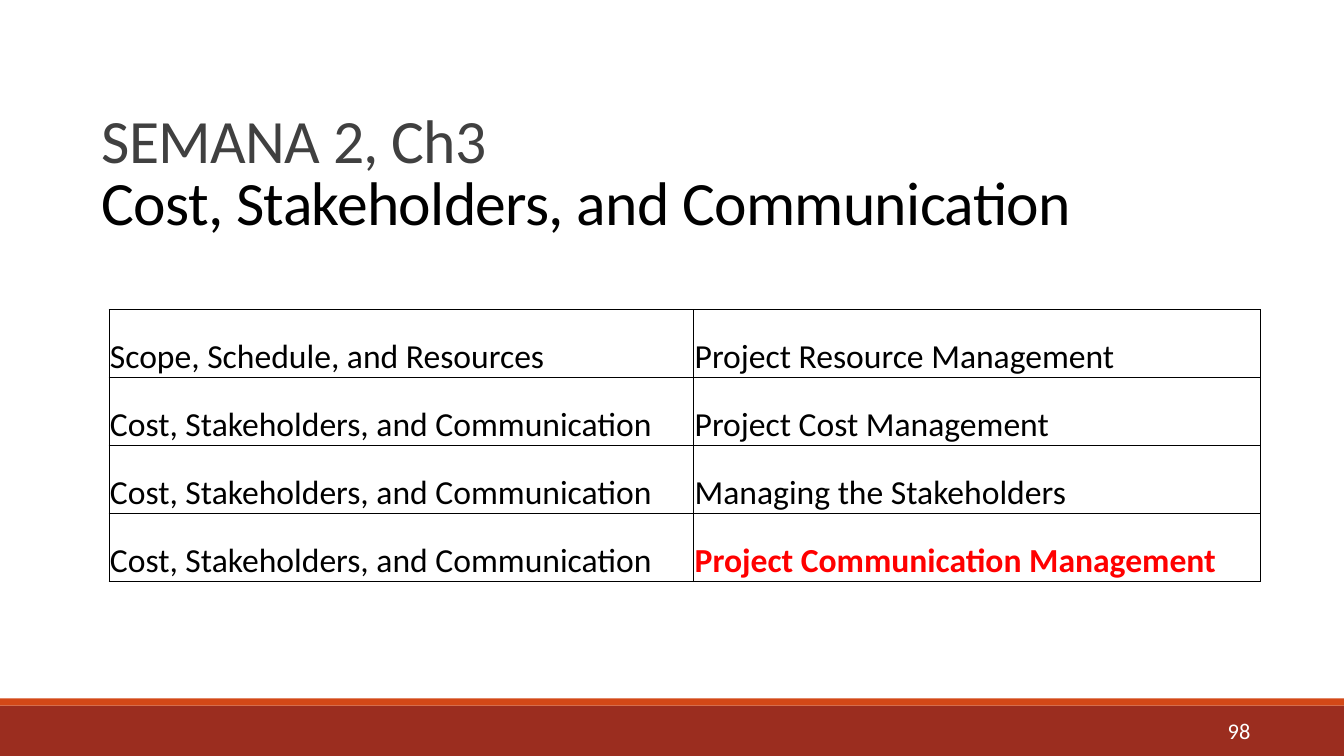
from dataclasses import dataclass

from lxml import etree
from pptx import Presentation
from pptx.dml.color import RGBColor
from pptx.enum import shapes, text
from pptx.oxml import ns
from pptx.util import Inches, Pt


@dataclass(frozen=True)
class Theme:
    font: str = "Calibri"
    black: str = "000000"
    grey: str = "404040"
    red: str = "FF0000"
    white: str = "FFFFFF"
    brick: str = "9B2D1F"
    orange: str = "D34817"
    title_size: float = 44
    table_size: float = 24
    number_size: float = 16
    border: float = 0.5


@dataclass(frozen=True)
class Bar:
    top: float
    height: float
    color: str


@dataclass(frozen=True)
class TitleLine:
    wording: str
    spacing: float
    color: str


@dataclass(frozen=True)
class Topic:
    chapter: str
    subject: str
    current: bool = False


THEME = Theme()
SLIDE_WIDTH, SLIDE_HEIGHT = 13.33, 7.5
CHAPTER = "Cost, Stakeholders, and Communication"
BARS = [Bar(7, 0.5, THEME.brick), Bar(6.93, 0.07, THEME.orange)]
TITLE_LINES = [
    TitleLine("SEMANA 2, Ch3", 1.5, THEME.grey),
    TitleLine(CHAPTER, 0.85, THEME.black),
]
TOPICS = [
    Topic("Scope, Schedule, and Resources", "Project Resource Management"),
    Topic(CHAPTER, "Project Cost Management"),
    Topic(CHAPTER, "Managing the Stakeholders"),
    Topic(CHAPTER, "Project Communication Management", current=True),
]
COLUMN_WIDTHS = [5.8, 5.62]
ROW_HEIGHT = 0.675


def style_run(run, size: float, color: str, bold: bool = False) -> None:
    run.font.name = THEME.font
    run.font.size = Pt(size)
    run.font.bold = bold
    run.font.color.rgb = RGBColor.from_string(color)


def draw_bar(slide, bar: Bar) -> None:
    band = slide.shapes.add_shape(
        shapes.MSO_SHAPE.RECTANGLE, 0, Inches(bar.top),
        Inches(SLIDE_WIDTH), Inches(bar.height))
    band.shadow.inherit = False
    band.fill.solid()
    band.fill.fore_color.rgb = RGBColor.from_string(bar.color)
    band.line.fill.background()


def draw_number(slide, number: str) -> None:
    page = slide.shapes.add_textbox(
        Inches(0.84), Inches(7.07), Inches(11.66), Inches(0.35))
    frame = page.text_frame
    frame.word_wrap = True
    frame.vertical_anchor = text.MSO_ANCHOR.MIDDLE
    frame.text = number
    frame.paragraphs[0].alignment = text.PP_ALIGN.RIGHT
    style_run(frame.paragraphs[0].runs[0], THEME.number_size, THEME.white)


def fill_title(slide, lines: list[TitleLine]) -> None:
    title = slide.shapes.title
    title.left, title.top = Inches(0.91), Inches(0.59)
    title.width, title.height = Inches(11.29), Inches(2.03)
    frame = title.text_frame
    frame.word_wrap = True
    frame.auto_size = text.MSO_AUTO_SIZE.NONE
    frame.vertical_anchor = text.MSO_ANCHOR.TOP
    frame.text = "\n".join(line.wording for line in lines)
    for paragraph, line in zip(frame.paragraphs, lines):
        paragraph.alignment = text.PP_ALIGN.LEFT
        paragraph.line_spacing = line.spacing
        run = paragraph.runs[0]
        style_run(run, THEME.title_size, line.color)
        run.font._element.set("spc", "-50")


def add_borders(cell) -> None:
    properties = cell._tc.get_or_add_tcPr()
    for position, side in enumerate(("a:lnL", "a:lnR", "a:lnT", "a:lnB")):
        edge = etree.Element(ns.qn(side), w=str(Pt(THEME.border)))
        fill = etree.SubElement(edge, ns.qn("a:solidFill"))
        etree.SubElement(fill, ns.qn("a:srgbClr"), val=THEME.black)
        properties.insert(position, edge)


def fill_cell(cell, wording: str, highlighted: bool) -> None:
    cell.fill.background()
    cell.vertical_anchor = text.MSO_ANCHOR.BOTTOM
    cell.margin_left = cell.margin_right = cell.margin_top = Inches(0.01)
    cell.margin_bottom = 0
    cell.text_frame.text = wording
    style_run(cell.text_frame.paragraphs[0].runs[0], THEME.table_size,
              THEME.red if highlighted else THEME.black, highlighted)
    add_borders(cell)


def draw_topics(slide, topics: list[Topic]) -> None:
    table = slide.shapes.add_table(
        len(topics), len(COLUMN_WIDTHS), Inches(1.08), Inches(3.07),
        Inches(sum(COLUMN_WIDTHS)), Inches(ROW_HEIGHT * len(topics))).table
    table.first_row = table.horz_banding = False
    for column, width in zip(table.columns, COLUMN_WIDTHS):
        column.width = Inches(width)
    for row, topic in zip(table.rows, topics):
        row.height = Inches(ROW_HEIGHT)
        fill_cell(row.cells[0], topic.chapter, False)
        fill_cell(row.cells[1], topic.subject, topic.current)


def main() -> None:
    deck = Presentation()
    deck.slide_width, deck.slide_height = Inches(SLIDE_WIDTH), Inches(SLIDE_HEIGHT)
    slide = deck.slides.add_slide(deck.slide_layouts[5])

    # Footer bars and slide number
    for bar in BARS:
        draw_bar(slide, bar)
    draw_number(slide, "98")

    # Title and table of topics
    fill_title(slide, TITLE_LINES)
    draw_topics(slide, TOPICS)

    deck.save("out.pptx")


if __name__ == "__main__":
    main()
